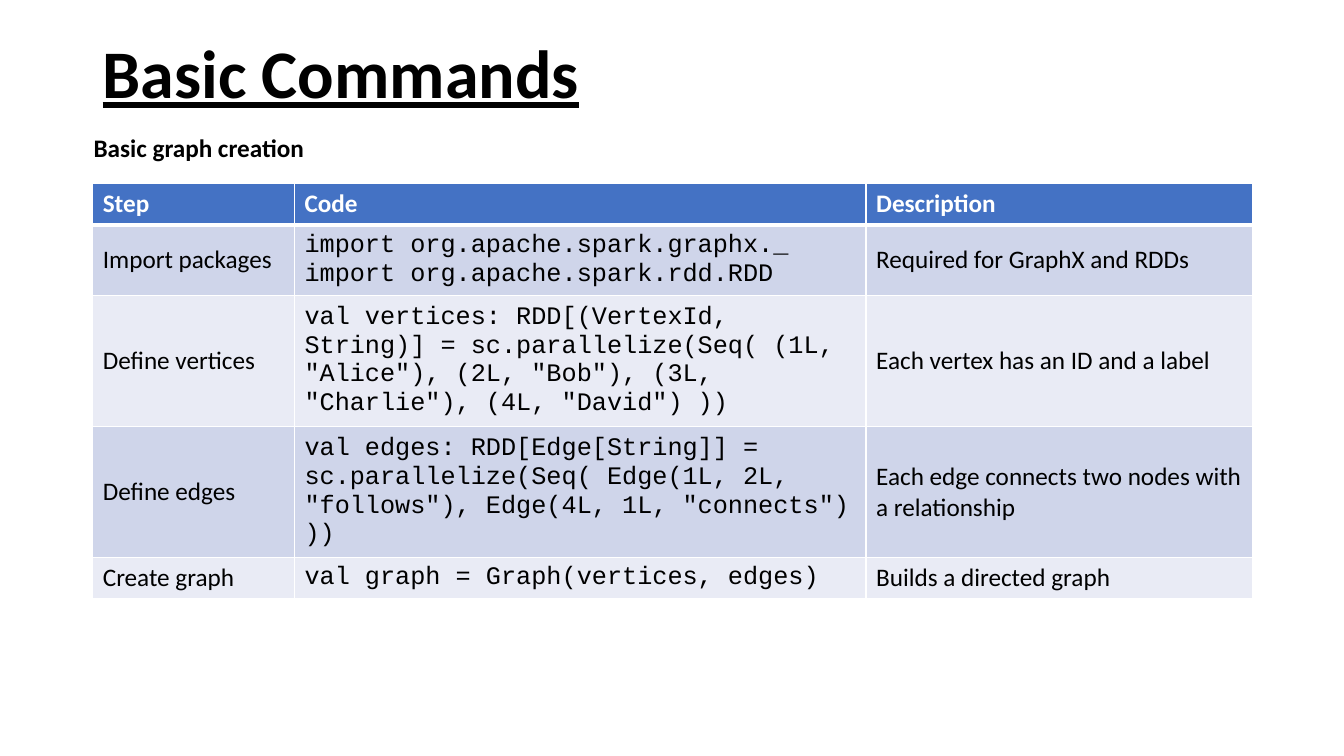
from pptx import Presentation
from pptx.dml.color import RGBColor as RGB
from pptx.enum.text import MSO_ANCHOR as Anchor
from pptx.oxml import parse_xml
from pptx.oxml.ns import nsdecls
from pptx.util import Inches, Pt

COLORS = {"ink": "000000", "white": "FFFFFF", "head": "4472C4",
          "odd": "CFD5EA", "even": "E9EBF5"}
SANS, MONO = "Calibri", "Courier New"
COLS = [2, 5.67, 3.83]
ROWS = [0.41, 0.66, 1.23, 1.23, 0.41]
STEPS = [
    ("Step", "Code", "Description"),
    ("Import packages",
     "import org.apache.spark.graphx._ import org.apache.spark.rdd.RDD",
     "Required for GraphX and RDDs"),
    ("Define vertices",
     'val vertices: RDD[(VertexId, String)] = sc.parallelize(Seq( (1L, "Alice"), '
     '(2L, "Bob"), (3L, "Charlie"), (4L, "David") ))',
     "Each vertex has an ID and a label"),
    ("Define edges",
     'val edges: RDD[Edge[String]] = sc.parallelize(Seq( Edge(1L, 2L, "follows"), '
     'Edge(4L, 1L, "connects") ))',
     "Each edge connects two nodes with a relationship"),
    ("Create graph", "val graph = Graph(vertices, edges)",
     "Builds a directed graph"),
]


def add_run(para, text, size=18, face=SANS, color="ink", bold=False, line=False):
    run = para.add_run()
    run.text = text
    font = run.font
    font.size, font.name, font.bold, font.underline = Pt(size), face, bold, line
    font.color.rgb = RGB.from_string(COLORS[color])


def add_label(slide, box, text, anchor=Anchor.TOP, space=1, **style):
    frame = slide.shapes.add_textbox(*map(Inches, box)).text_frame
    frame.word_wrap = True
    frame.vertical_anchor = anchor
    para = frame.paragraphs[0]
    para.line_spacing = space
    add_run(para, text, bold=True, **style)


def add_edges(cell, base):
    props = cell._tc.get_or_add_tcPr()
    for i, side in enumerate("LRTB"):
        width = Pt(base if side == "B" else 1)
        props.insert(i, parse_xml(
            f'<a:ln{side} {nsdecls("a")} w="{width}"><a:solidFill>'
            f'<a:srgbClr val="{COLORS["white"]}"/></a:solidFill></a:ln{side}>'))


def add_steps(slide, left, top):
    box = map(Inches, (left, top, sum(COLS), sum(ROWS)))
    table = slide.shapes.add_table(len(ROWS), len(COLS), *box).table
    for col, width in zip(table.columns, COLS):
        col.width = Inches(width)
    for r, (row, height) in enumerate(zip(table.rows, ROWS)):
        row.height = Inches(height)
        head = r == 0
        fill = "head" if head else "odd" if r % 2 else "even"
        for c, cell in enumerate(row.cells):
            cell.vertical_anchor = Anchor.MIDDLE
            cell.fill.solid()
            cell.fill.fore_color.rgb = RGB.from_string(COLORS[fill])
            add_edges(cell, 3 if head else 1)
            add_run(cell.text_frame.paragraphs[0], STEPS[r][c],
                    face=MONO if c == 1 and not head else SANS,
                    color="white" if head else "ink", bold=head)


def main():
    deck = Presentation()
    deck.slide_width, deck.slide_height = Inches(13.33), Inches(7.5)
    slide = deck.slides.add_slide(deck.slide_layouts[6])
    add_label(slide, (0.92, 0.4, 11.5, 0.71), "Basic Commands",
              Anchor.MIDDLE, 0.9, size=48.6, line=True)
    add_steps(slide, 0.92, 1.82)
    add_label(slide, (0.83, 1.26, 3.88, 0.4), "Basic graph creation")
    deck.save("out.pptx")


if __name__ == "__main__":
    main()
